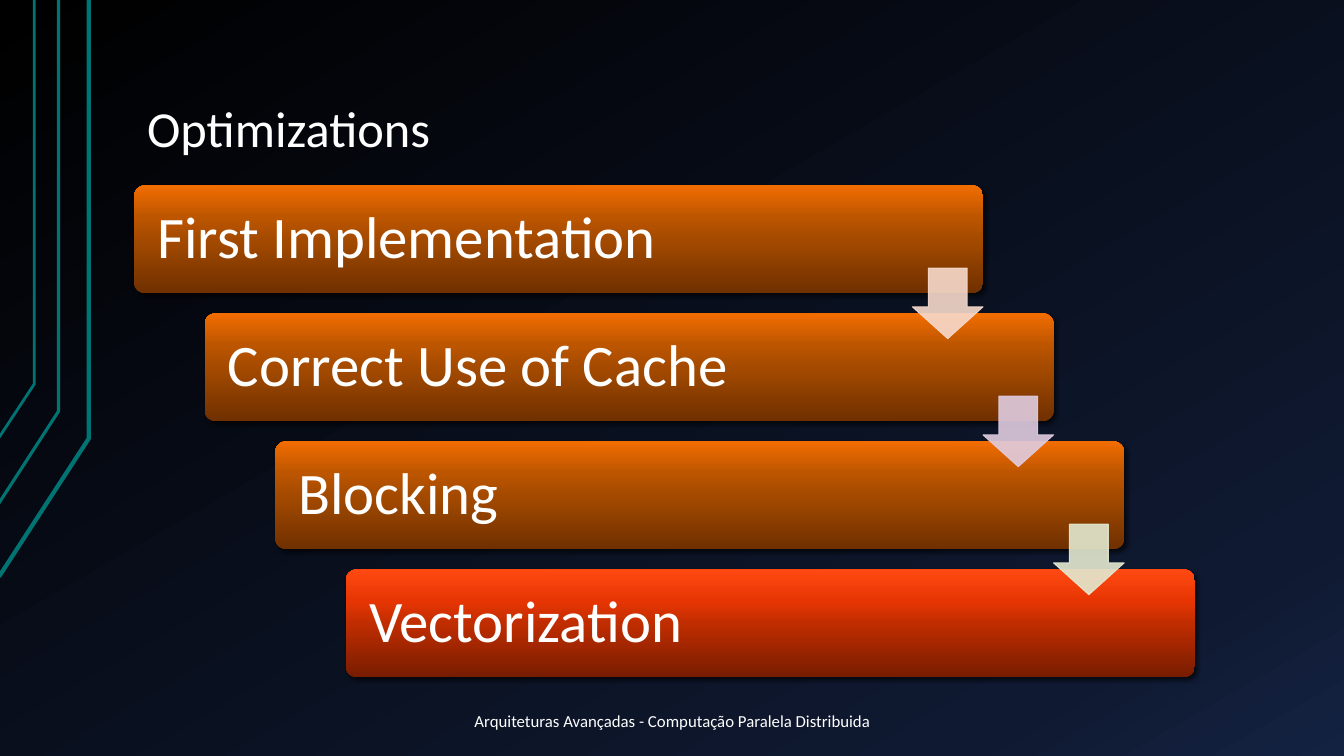
from lxml.etree import SubElement
from pptx import Presentation
from pptx.dml.color import RGBColor
from pptx.enum.shapes import MSO_SHAPE as SHAPE
from pptx.enum.text import MSO_ANCHOR as ANCHOR, PP_ALIGN as ALIGN
from pptx.oxml.ns import qn
from pptx.util import Inches, Pt

FONT = "Calibri"
WHITE = RGBColor(0xFF, 0xFF, 0xFF)
BLACK = RGBColor(0x00, 0x00, 0x00)
TEAL = RGBColor(0x00, 0x73, 0x73)
PINK = RGBColor(0xF7, 0xDA, 0xCC)
LILAC = RGBColor(0xE0, 0xCC, 0xE1)
SAGE = RGBColor(0xE3, 0xE9, 0xD0)

# Gradient stops: position in percent, colour
NIGHT = [(0, BLACK), (85, RGBColor(0x0F, 0x19, 0x31)),
         (100, RGBColor(0x14, 0x22, 0x42))]
ORANGE = [(0, RGBColor(0x70, 0x30, 0x00)), (50, RGBColor(0xA4, 0x4A, 0x00)),
          (70, RGBColor(0xBC, 0x55, 0x00)), (100, RGBColor(0xF2, 0x6D, 0x00))]
RED = [(0, RGBColor(0x77, 0x1C, 0x00)), (50, RGBColor(0xC0, 0x2D, 0x00)),
       (70, RGBColor(0xE6, 0x35, 0x03)), (100, RGBColor(0xFF, 0x49, 0x11))]

STEPS = [("First Implementation", ORANGE), ("Correct Use of Cache", ORANGE),
         ("Blocking", ORANGE), ("Vectorization", RED)]
ARROW_COLORS = [PINK, LILAC, SAGE]


def add_color(parent, color, alpha=100):
    clr = SubElement(parent, qn("a:srgbClr"), val=str(color))
    if alpha < 100:
        SubElement(clr, qn("a:alpha"), val=str(alpha * 1000))


def set_gradient(element, fill, stops, angle):
    """Angle in degrees, clockwise."""
    fill.gradient()
    grad = element.xpath(".//a:gradFill")[0]
    for child in list(grad):
        grad.remove(child)
    gs_list = SubElement(grad, qn("a:gsLst"))
    for pos, color in stops:
        add_color(SubElement(gs_list, qn("a:gs"), pos=str(pos * 1000)), color)
    SubElement(grad, qn("a:lin"), ang=str(angle * 60000), scaled="0")


def add_shadow(shape):
    shape.shadow.inherit = False
    effects = shape._element.spPr.find(qn("a:effectLst"))
    outer = SubElement(effects, qn("a:outerShdw"), blurRad=str(Pt(3)),
                       dist=str(Pt(2)), dir=str(45 * 60000), rotWithShape="0")
    add_color(outer, BLACK, 60)


def set_text(shape, text, size, anchor, align=ALIGN.LEFT, spacing=1.0,
             inset=(0.13, 0.07)):
    tf = shape.text_frame
    tf.word_wrap = True
    tf.vertical_anchor = anchor
    tf.margin_left = tf.margin_right = Inches(inset[0])
    tf.margin_top = tf.margin_bottom = Inches(inset[1])
    p = tf.paragraphs[0]
    p.text = text
    p.alignment = align
    p.line_spacing = spacing
    font = p.runs[0].font
    font.name, font.size, font.color.rgb = FONT, Pt(size), WHITE


def add_label(slide, text, left, top, width, height, **style):
    box = slide.shapes.add_textbox(Inches(left), Inches(top),
                                   Inches(width), Inches(height))
    set_text(box, text, **style)


def add_side_lines(slide):
    # Bend x, bend y, end y at the slide's left edge, line width
    for x, bend, end, width in [(0.88, 4.35, 5.72, 3), (0.58, 4.08, 4.99, 2.25),
                                (0.34, 3.81, 4.34, 2)]:
        builder = slide.shapes.build_freeform(Inches(-0.01), Inches(end))
        builder.add_line_segments([(Inches(x), Inches(bend)), (Inches(x), 0)],
                                  close=False)
        s = builder.convert_to_shape()
        s.shadow.inherit = False
        s.fill.background()
        s.line.color.rgb = TEAL
        s.line.width = Pt(width)


def add_step(slide, text, stops, left, top, width, height):
    s = slide.shapes.add_shape(SHAPE.ROUNDED_RECTANGLE, Inches(left),
                               Inches(top), Inches(width), Inches(height))
    s.adjustments[0] = 0.1
    set_gradient(s._element, s.fill, stops, 270)
    s.line.fill.background()
    add_shadow(s)
    set_text(s, text, 42, ANCHOR.MIDDLE, spacing=0.9, inset=(0.2, 0.17))


def add_arrow(slide, color, left, top, size):
    s = slide.shapes.add_shape(SHAPE.DOWN_ARROW, Inches(left), Inches(top),
                               Inches(size), Inches(size))
    s.adjustments[0], s.adjustments[1] = 0.55, 0.45
    s.shadow.inherit = False
    s.fill.solid()
    s.fill.fore_color.rgb = color
    s.line.color.rgb = color
    s.line.width = Pt(0.75)
    for clr in s._element.spPr.iter(qn("a:srgbClr")):
        SubElement(clr, qn("a:alpha"), val="90000")


def add_staircase(slide, left, top, width, height):
    """Steps descending to the right, with an arrow from each to the next."""
    shift, pitch, arrow = 0.7, 1.27, 0.7
    step_w = width - shift * (len(STEPS) - 1)
    step_h = height - pitch * (len(STEPS) - 1)
    for i, (text, stops) in enumerate(STEPS):
        add_step(slide, text, stops, left + i * shift, top + i * pitch,
                 step_w, step_h)
    for i, color in enumerate(ARROW_COLORS):
        add_arrow(slide, color, left + i * shift + step_w - arrow,
                  top + i * pitch + 0.82, arrow)


def main():
    prs = Presentation()
    prs.slide_width, prs.slide_height = Inches(13.33), Inches(7.5)
    slide = prs.slides.add_slide(prs.slide_layouts[6])
    set_gradient(slide._element, slide.background.fill, NIGHT, 60)
    add_side_lines(slide)
    add_label(slide, "Optimizations", 1.33, 0.3, 11.33, 1.34,
              size=36, anchor=ANCHOR.BOTTOM, spacing=0.9)
    add_staircase(slide, 1.33, 1.84, 10.52, 4.88)
    add_label(slide, "Arquiteturas Avançadas - Computação Paralela Distribuida",
              3.78, 6.95, 5.78, 0.4,
              size=12, anchor=ANCHOR.MIDDLE, align=ALIGN.CENTER)
    prs.save("out.pptx")


if __name__ == "__main__":
    main()
